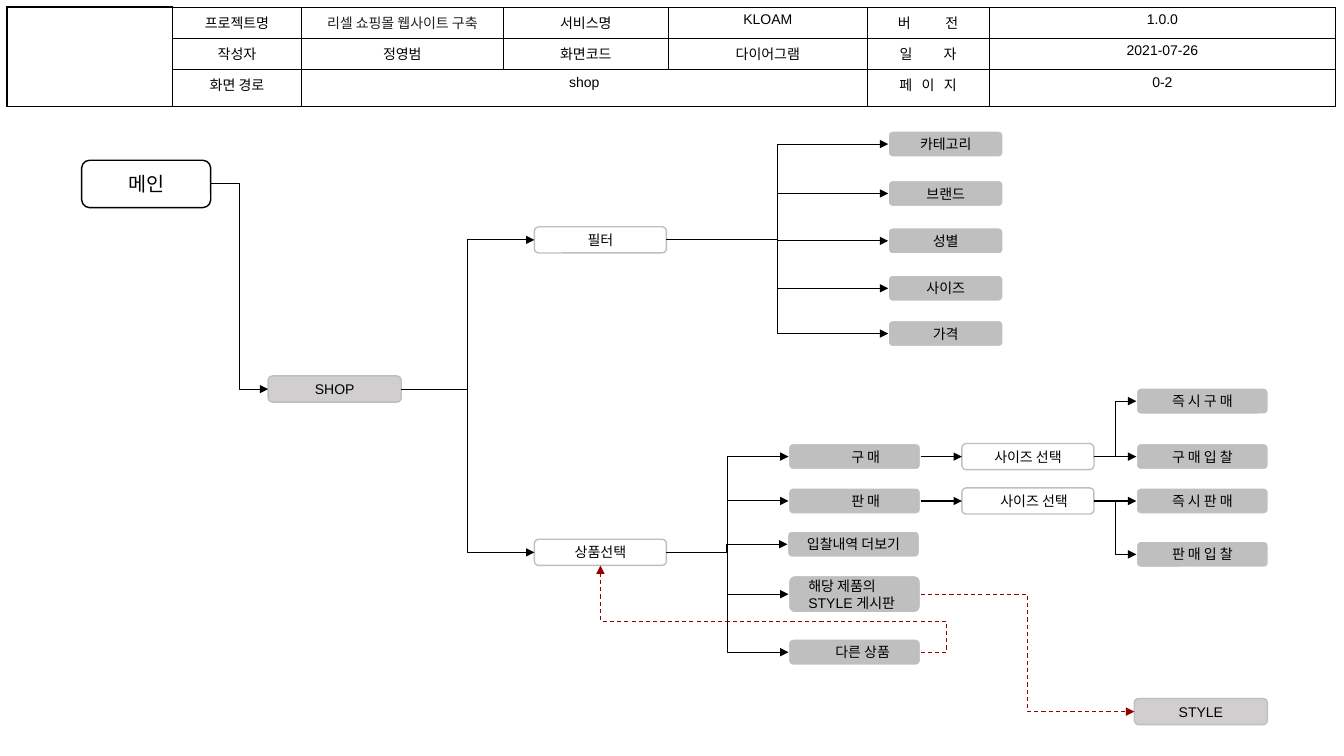
from dataclasses import dataclass

from lxml import etree
from pptx import Presentation
from pptx.dml.color import RGBColor
from pptx.enum.dml import MSO_LINE
from pptx.enum.shapes import MSO_CONNECTOR, MSO_SHAPE
from pptx.enum.text import MSO_ANCHOR, PP_ALIGN
from pptx.oxml.ns import qn
from pptx.shapes.autoshape import Shape
from pptx.shapes.connector import Connector
from pptx.slide import Slide
from pptx.table import _Cell
from pptx.text.text import _Paragraph
from pptx.util import Emu, Pt

ROUNDED, ELBOW = MSO_SHAPE.ROUNDED_RECTANGLE, MSO_CONNECTOR.ELBOW
CENTER, LEFT, MIDDLE = PP_ALIGN.CENTER, PP_ALIGN.LEFT, MSO_ANCHOR.MIDDLE
DASH = MSO_LINE.DASH
BLACK = RGBColor(0x00, 0x00, 0x00)
INK = RGBColor(0x20, 0x21, 0x24)
WHITE = RGBColor(0xFF, 0xFF, 0xFF)
SILVER = RGBColor(0xBF, 0xBF, 0xBF)
PALE = RGBColor(0xD0, 0xCE, 0xCE)
RED = RGBColor(0x98, 0x00, 0x00)
FONT = "Arial"
EMU_PER_PX = 9144
TOP_SITE, LEFT_SITE, BOTTOM_SITE, RIGHT_SITE = range(4)


@dataclass(frozen=True)
class Style:
    """Fill and outline of a kind of node."""
    fill: RGBColor
    line: RGBColor


ROOT = Style(WHITE, BLACK)
PAGE = Style(PALE, SILVER)
STEP = Style(WHITE, SILVER)
LEAF = Style(SILVER, WHITE)


@dataclass(frozen=True)
class Node:
    """A labelled box of the site map, in px."""
    key: str
    text: str
    x: int
    y: int
    style: Style = LEAF
    w: int = 131
    h: int = 26
    size: int = 10
    pad: int = 0
    align: PP_ALIGN = CENTER


@dataclass(frozen=True)
class Edge:
    """An elbow arrow between two nodes."""
    start: str
    end: str
    color: RGBColor = BLACK
    dashed: bool = False
    end_site: int = LEFT_SITE


@dataclass(frozen=True)
class Field:
    """A filled cell of the header table."""
    row: int
    col: int
    text: str
    span: int = 1
    tracking: float = 0
    color: RGBColor = BLACK


COLUMNS = (164, 128, 200, 164, 197, 121, 172, 172)
ROWS = (31, 31, 37)
FIELDS = (
    Field(0, 1, "프로젝트명"),
    Field(0, 2, "리셀 쇼핑몰 웹사이트 구축", color=INK),
    Field(0, 3, "서비스명"),
    Field(0, 4, "KLOAM"),
    Field(0, 5, "버 전", tracking=11.2),
    Field(0, 6, "1.0.0", 2),
    Field(1, 1, "작성자"),
    Field(1, 2, "정영범"),
    Field(1, 3, "화면코드"),
    Field(1, 4, "다이어그램"),
    Field(1, 5, "일 자", tracking=10),
    Field(1, 6, "2021-07-26", 2),
    Field(2, 1, "화면 경로"),
    Field(2, 2, "shop", 3),
    Field(2, 5, "페 이 지", tracking=2.2),
    Field(2, 6, "0-2", 2),
)

FILTERS = (("카테고리", 130), ("브랜드", 179), ("성별", 226), ("사이즈", 273), ("가격", 318))
OUTCOMES = (("즉 시 구 매", 385, "buy size"), ("구 매 입 찰", 440, "buy size"),
            ("즉 시 판 매", 484, "sell size"), ("판 매 입 찰", 537, "sell size"))
ACTIONS = (
    Node("buy", "구 매", 782, 440, pad=22),
    Node("sell", "판 매", 782, 484, pad=22),
    Node("bids", "입찰내역 더보기", 781, 527),
    Node("board", "해당 제품의\vSTYLE 게시판", 782, 571, h=37, pad=8, align=LEFT),
    Node("others", "다른 상품", 782, 634, pad=16),
)
NODES = (
    Node("main", "메인", 81, 159, ROOT, 128, 47, 14),
    Node("shop", "SHOP", 266, 373, PAGE, 132),
    Node("filter", "필터", 530, 225, STEP),
    Node("product", "상품선택", 530, 535, STEP),
    *(Node(text, text, 881, y, w=114) for text, y in FILTERS),
    *ACTIONS,
    Node("buy size", "사이즈 선택", 954, 440, STEP),
    Node("sell size", "사이즈 선택", 954, 484, STEP, pad=12),
    *(Node(text, text, 1127, y) for text, y, _ in OUTCOMES),
    Node("style", "STYLE", 1125, 693, PAGE, 132),
)
EDGES = (
    Edge("main", "shop"),
    Edge("shop", "filter"),
    Edge("shop", "product"),
    *(Edge("filter", text) for text, _ in FILTERS),
    *(Edge("product", action.key) for action in ACTIONS),
    Edge("buy", "buy size"),
    Edge("sell", "sell size"),
    *(Edge(step, text) for text, _, step in OUTCOMES),
    Edge("board", "style", RED, True),
)
RETURN_EDGE = Edge("others", "product", RED, True, BOTTOM_SITE)


def px(n: int) -> Emu:
    """Turn px into EMU."""
    return Emu(n * EMU_PER_PX)


def set_font(p: _Paragraph, size: int, color: RGBColor) -> None:
    """Set the font of a whole paragraph."""
    p.font.name, p.font.size = FONT, Pt(size)
    p.font.color.rgb = color


def add_borders(cell: _Cell, width: float) -> None:
    """Draw black lines on the four sides of a cell."""
    tc_pr = cell._tc.get_or_add_tcPr()
    for side in ("lnL", "lnR", "lnT", "lnB"):
        ln = etree.SubElement(tc_pr, qn(f"a:{side}"), w=str(Pt(width)))
        fill = etree.SubElement(ln, qn("a:solidFill"))
        etree.SubElement(fill, qn("a:srgbClr"), val=str(BLACK))


def add_header(slide: Slide) -> None:
    """Draw the document header table."""
    frame = slide.shapes.add_table(len(ROWS), len(COLUMNS), px(7), px(7),
                                   px(sum(COLUMNS)), px(sum(ROWS)))
    table = frame.table
    table.first_row = table.horz_banding = False
    for column, width in zip(table.columns, COLUMNS):
        column.width = px(width)
    for row, height in zip(table.rows, ROWS):
        row.height = px(height)
        for col, cell in enumerate(row.cells):
            add_borders(cell, 0.75 if col else 1)
            cell.fill.background()
            set_font(cell.text_frame.paragraphs[0], 10, BLACK)
    table.cell(0, 0).merge(table.cell(len(ROWS) - 1, 0))
    for field in FIELDS:
        cell = table.cell(field.row, field.col)
        if field.span > 1:
            cell.merge(table.cell(field.row, field.col + field.span - 1))
        p = cell.text_frame.paragraphs[0]
        p.alignment = CENTER
        set_font(p, 10, field.color)
        if field.tracking:
            r = p.add_run()
            r.text = field.text[:-1]
            r._r.get_or_add_rPr().set("spc", str(round(field.tracking * 100)))
            p.add_run().text = field.text[-1]
        else:
            p.add_run().text = field.text


def add_node(slide: Slide, node: Node) -> Shape:
    """Draw a rounded box with its label."""
    sp = slide.shapes.add_shape(ROUNDED, px(node.x), px(node.y), px(node.w), px(node.h))
    sp.shadow.inherit = False
    sp.fill.solid()
    sp.fill.fore_color.rgb = node.style.fill
    sp.line.color.rgb, sp.line.width = node.style.line, Pt(1)
    tf = sp.text_frame
    tf.word_wrap, tf.vertical_anchor = True, MIDDLE
    tf.margin_left = px(10 + node.pad)
    tf.text = node.text
    p = tf.paragraphs[0]
    p.alignment = node.align
    set_font(p, node.size, BLACK)
    return sp


def add_edge(slide: Slide, edge: Edge, shapes: dict[str, Shape]) -> Connector:
    """Join two nodes with an elbow arrow."""
    cxn = slide.shapes.add_connector(ELBOW, 0, 0, 0, 0)
    cxn.begin_connect(shapes[edge.start], RIGHT_SITE)
    cxn.end_connect(shapes[edge.end], edge.end_site)
    cxn.line.color.rgb, cxn.line.width = edge.color, Pt(0.75)
    if edge.dashed:
        cxn.line.dash_style = DASH
    etree.SubElement(cxn.line._get_or_add_ln(), qn("a:tailEnd"), type="triangle")
    etree.SubElement(cxn._element.spPr, qn("a:effectLst"))
    return cxn


def add_return_edge(slide: Slide, shapes: dict[str, Shape]) -> None:
    """Lead from the other products back under the product selection."""
    sp_pr = add_edge(slide, RETURN_EDGE, shapes)._element.spPr
    xfrm, geom = sp_pr.find(qn("a:xfrm")), sp_pr.find(qn("a:prstGeom"))
    for flip in ("flipH", "flipV"):
        xfrm.attrib.pop(flip, None)
    xfrm.set("rot", "10800000")
    geom.set("prst", "bentConnector4")
    guides = geom.find(qn("a:avLst"))
    for name, value in (("adj1", -8200), ("adj2", 35900)):
        etree.SubElement(guides, qn("a:gd"), name=name, fmla=f"val {value}")


def main() -> None:
    """Build the slide and save it."""
    prs = Presentation()
    prs.slide_width, prs.slide_height = px(1333), px(750)
    slide = prs.slides.add_slide(prs.slide_layouts[6])
    add_header(slide)
    shapes = {node.key: add_node(slide, node) for node in NODES}
    for edge in EDGES:
        add_edge(slide, edge, shapes)
    add_return_edge(slide, shapes)
    prs.save("out.pptx")


if __name__ == "__main__":
    main()
